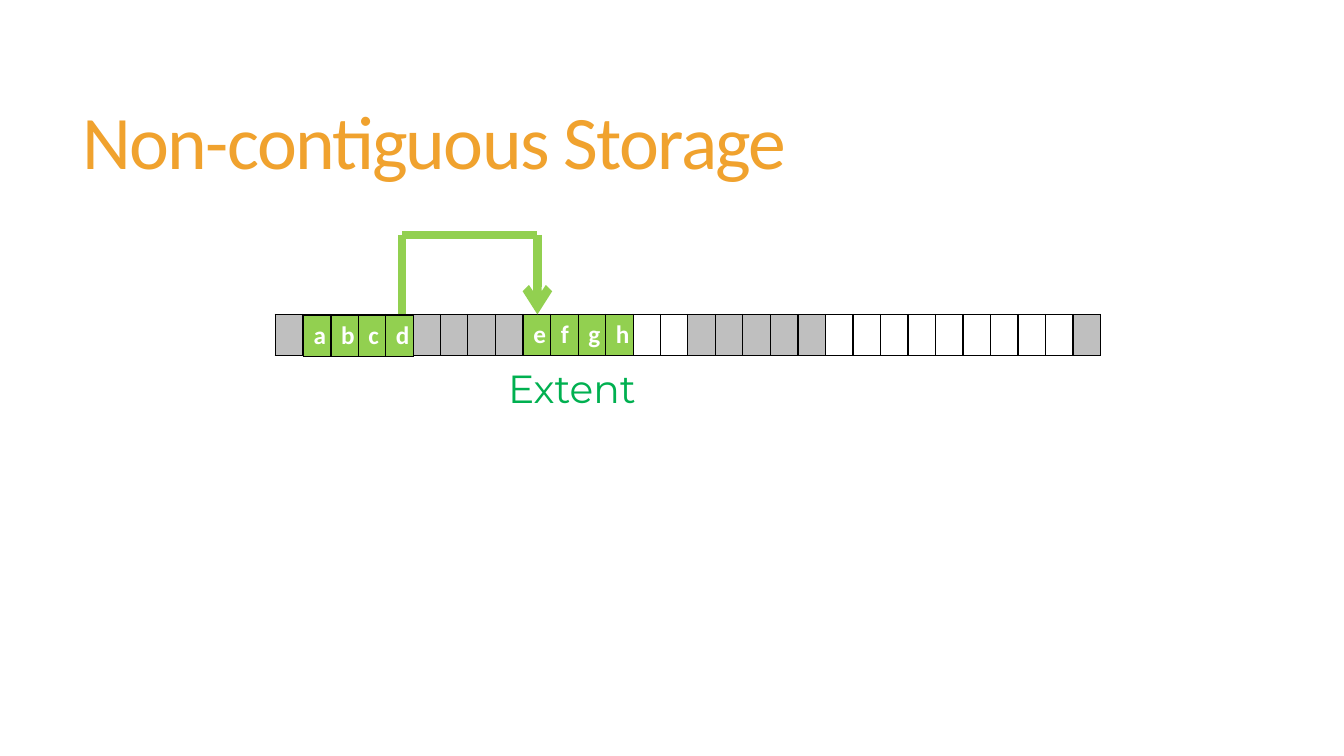
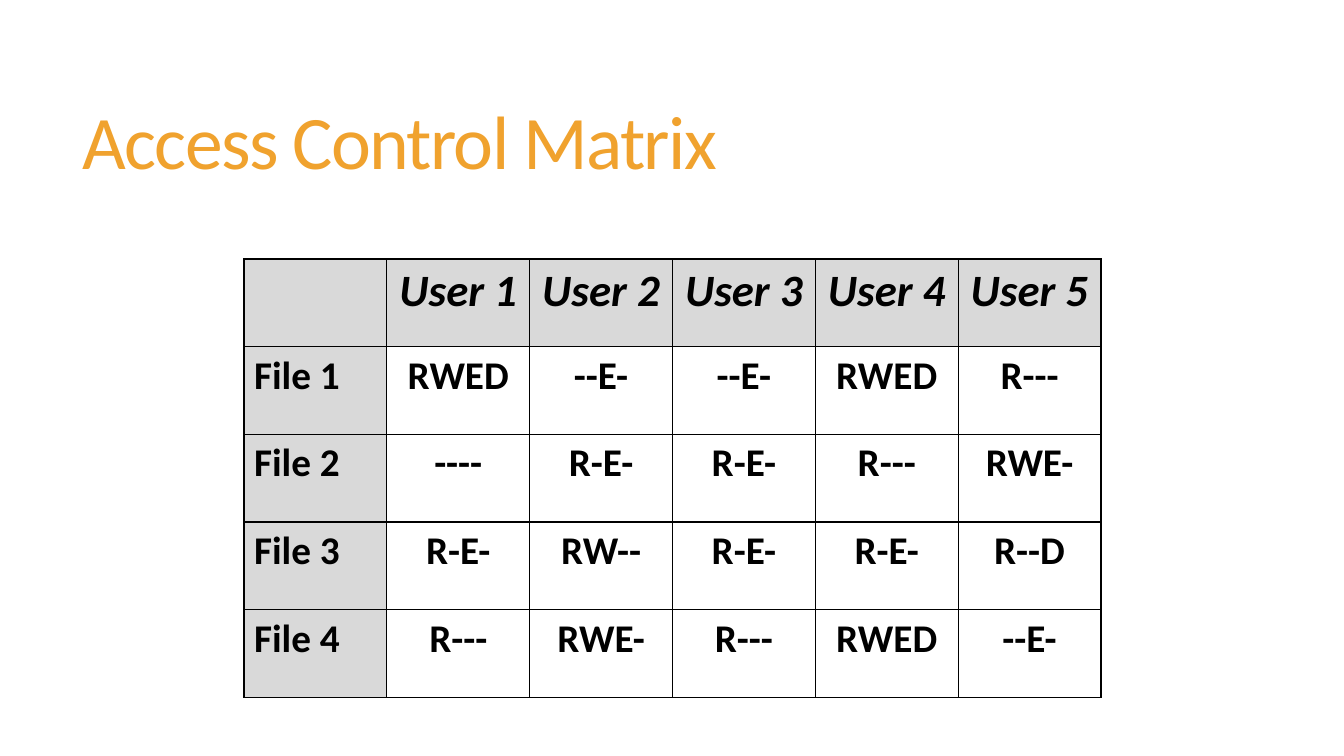
"""Builds two slides on file storage: extents and an access control matrix."""
from lxml import etree
from pptx import Presentation
from pptx import util as u
from pptx.dml.color import RGBColor
from pptx.enum import shapes, text
from pptx.oxml import ns

PX = 9144
COLORS = {
    "title": "F0A22E", "used": "BFBFBF", "extent": "92D050", "label": "00B050",
    "header": "D9D9D9", "black": "000000", "white": "FFFFFF",
}


def add_text(paragraph, words, size, color, font="Calibri", bold=False, italic=False):
    run = paragraph.add_run()
    run.text = words
    run.font.size = u.Pt(size)
    run.font.name = font
    run.font.bold = bold
    run.font.italic = italic
    run.font.color.rgb = RGBColor.from_string(COLORS[color])
    return run


def add_grid(slide, left, top, width, height, rows, columns):
    frame = slide.shapes.add_table(rows, columns, left * PX, top * PX, width * PX, height * PX)
    grid = frame.table
    grid.first_row = False
    grid.horz_banding = False
    for column in grid.columns:
        column.width = width * PX // columns
    for row in grid.rows:
        row.height = height * PX // rows
    for cell in grid.iter_cells():
        cell.fill.solid()
        cell.fill.fore_color.rgb = RGBColor.from_string(COLORS["white"])
        properties = cell._tc.get_or_add_tcPr()
        for place, side in enumerate(("lnL", "lnR", "lnT", "lnB")):
            border = etree.Element(ns.qn(f"a:{side}"), w=str(u.Pt(1)))
            solid = etree.SubElement(border, ns.qn("a:solidFill"))
            etree.SubElement(solid, ns.qn("a:srgbClr"), val=COLORS["black"])
            properties.insert(place, border)
    return grid


deck = Presentation()
deck.slide_width = 1333 * PX
deck.slide_height = 750 * PX

slides = []
for heading in ("Non-contiguous Storage", "Access Control Matrix"):
    slide = deck.slides.add_slide(deck.slide_layouts[6])
    title = slide.shapes.add_textbox(72 * PX, 55 * PX, 1178 * PX, 181 * PX).text_frame
    title.word_wrap = True
    title.vertical_anchor = text.MSO_ANCHOR.MIDDLE
    title.paragraphs[0].line_spacing = 0.85
    run = add_text(title.paragraphs[0], heading, 54, "title")
    run.font._element.set("spc", "-120")
    slides.append(slide)
storage, access = slides

disk = add_grid(storage, 273, 312, 819, 41, 1, 30)
for block in (0, *range(5, 9), *range(15, 20), 29):
    disk.cell(0, block).fill.fore_color.rgb = RGBColor.from_string(COLORS["used"])

for left, top, letters in ((301, 313, "abcd"), (519, 312, "efgh")):
    extent = add_grid(storage, left, top, 109, 41, 1, len(letters))
    for cell, letter in zip(extent.iter_cells(), letters):
        cell.fill.fore_color.rgb = RGBColor.from_string(COLORS["extent"])
        paragraph = cell.text_frame.paragraphs[0]
        paragraph.alignment = text.PP_ALIGN.CENTER
        add_text(paragraph, letter, 18, "white", bold=True)

corners = [(399, 312), (399, 233), (533, 233), (533, 312)]
for start, end in zip(corners, corners[1:]):
    link = storage.shapes.add_connector(
        shapes.MSO_CONNECTOR.STRAIGHT, *(value * PX for value in start + end))
    link.line.color.rgb = RGBColor.from_string(COLORS["extent"])
    link.line.width = u.Pt(6)
    if end == corners[-1]:
        etree.SubElement(link.line._get_or_add_ln(), ns.qn("a:tailEnd"), type="arrow")
    etree.SubElement(link._element.spPr, ns.qn("a:effectLst"))

label = storage.shapes.add_textbox(494 * PX, 357 * PX, 189 * PX, 57 * PX).text_frame
label.word_wrap = True
label.auto_size = text.MSO_AUTO_SIZE.SHAPE_TO_FIT_TEXT
add_text(label.paragraphs[0], "Extent", 28, "label", font="Montserrat")

rights = [
    ["", "User 1", "User 2", "User 3", "User 4", "User 5"],
    ["File 1", "RWED", "--E-", "--E-", "RWED", "R---"],
    ["File 2", "----", "R-E-", "R-E-", "R---", "RWE-"],
    ["File 3", "R-E-", "RW--", "R-E-", "R-E-", "R--D"],
    ["File 4", "R---", "RWE-", "R---", "RWED", "--E-"],
]
matrix = add_grid(access, 242, 257, 850, 435, len(rights), len(rights[0]))
for row, entries in enumerate(rights):
    for column, entry in enumerate(entries):
        cell = matrix.cell(row, column)
        if row == 0 or column == 0:
            cell.fill.fore_color.rgb = RGBColor.from_string(COLORS["header"])
        if entry:
            paragraph = cell.text_frame.paragraphs[0]
            paragraph.alignment = text.PP_ALIGN.CENTER if column else text.PP_ALIGN.LEFT
            add_text(paragraph, entry, 28 if row else 32, "black", bold=True, italic=row == 0)

deck.save("out.pptx")
